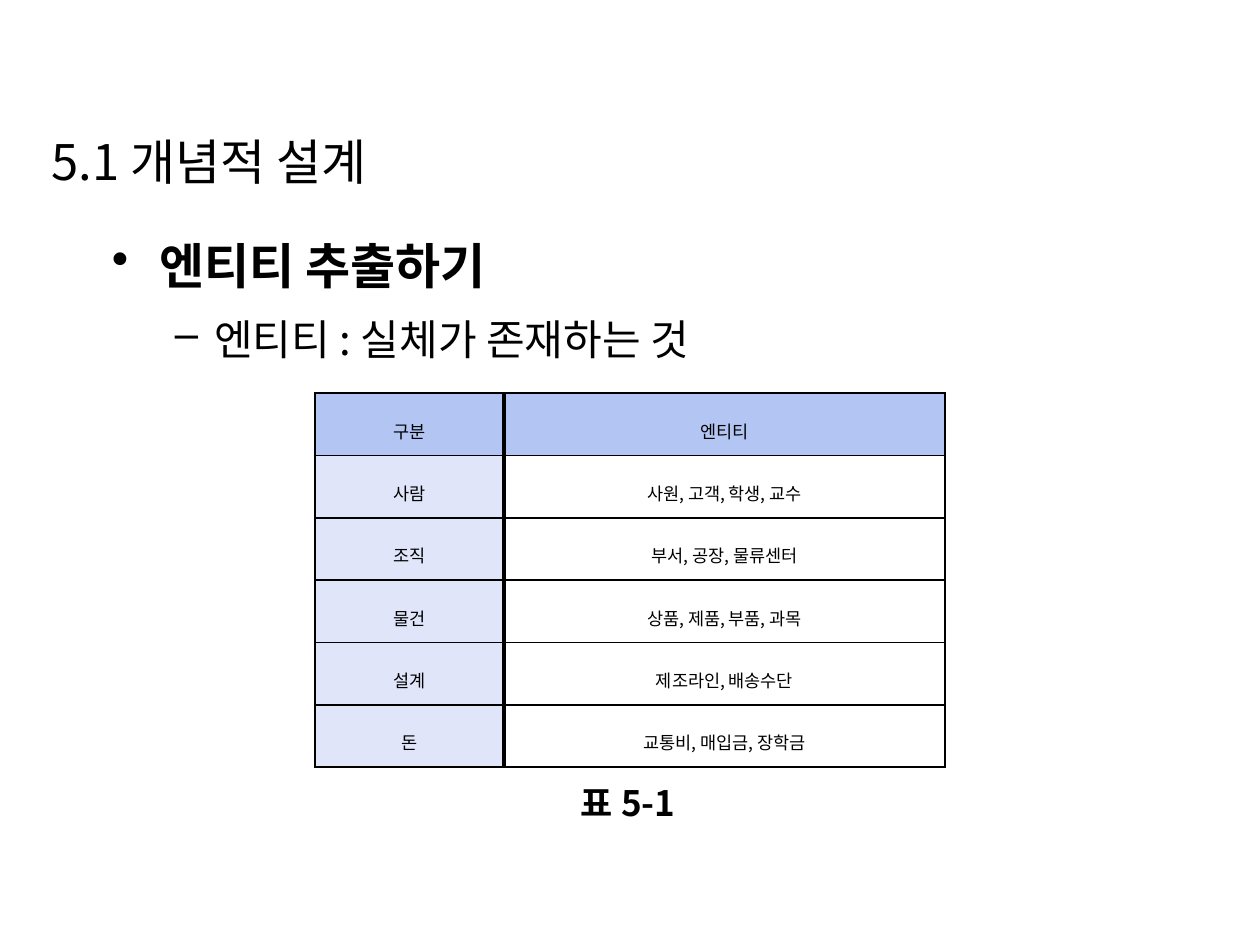
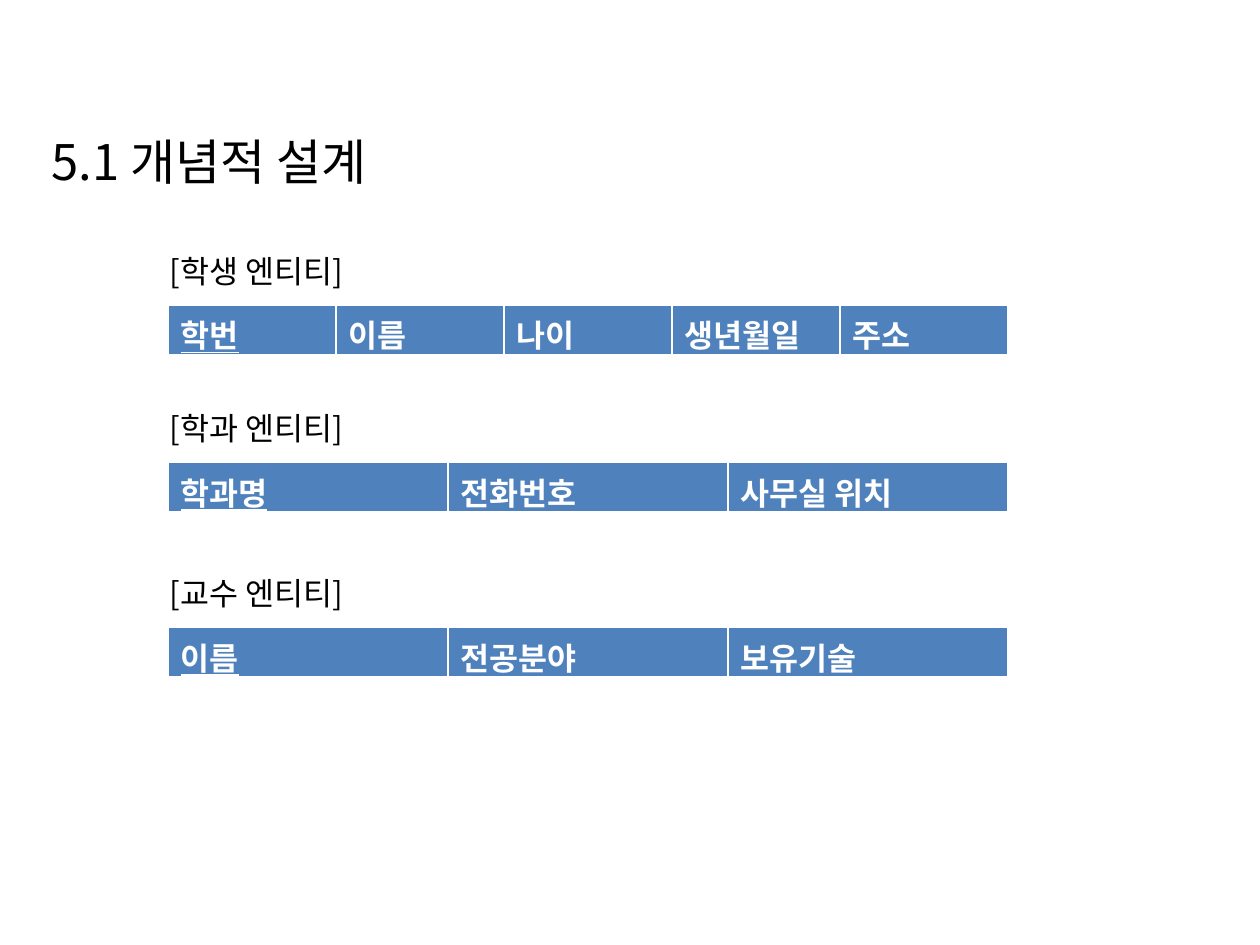
from dataclasses import dataclass

from lxml import etree
from pptx import Presentation
from pptx.dml.color import RGBColor
from pptx.enum.text import MSO_ANCHOR, MSO_AUTO_SIZE, PP_ALIGN
from pptx.oxml.ns import qn
from pptx.util import Emu, Inches, Pt

LEFT, CENTER = PP_ALIGN.LEFT, PP_ALIGN.CENTER
TOP, MIDDLE = MSO_ANCHOR.TOP, MSO_ANCHOR.MIDDLE
GROW, FIXED = MSO_AUTO_SIZE.SHAPE_TO_FIT_TEXT, MSO_AUTO_SIZE.NONE

FONT = "Noto Sans CJK KR"
COLORS = {
    "black": "000000",
    "white": "FFFFFF",
    "header": "B3C5F3",
    "category": "E0E5FA",
    "entity": "4F81BD",
}
TITLE_ONLY_LAYOUT = 5
TITLE = "5.1 개념적 설계"
SLIDE_WIDTH, SLIDE_HEIGHT = Inches(10), Inches(7.5)
CELL = SLIDE_WIDTH // 120  # the grid has 120 columns and 90 rows


@dataclass(frozen=True)
class Area:
    """A rectangle in grid columns and rows."""
    column: float
    row: float
    columns: float
    rows: float

    def lengths(self) -> tuple[Emu, Emu, Emu, Emu]:
        """Return left, top, width and height."""
        return tuple(grid(cells) for cells in
                     (self.column, self.row, self.columns, self.rows))


@dataclass(frozen=True)
class TextStyle:
    """The look of one paragraph."""
    size: float
    color: str = "black"
    bold: bool = False
    underline: bool = False
    align: PP_ALIGN = LEFT
    line_spacing: float = 1.0


@dataclass(frozen=True)
class Bullet:
    """A bulleted line with its mark and hanging indent in grid columns."""
    text: str
    mark: str
    style: TextStyle
    margin: float
    hanging: float
    level: int = 0


@dataclass(frozen=True)
class Entity:
    """An entity with its attributes; the first attribute is the key."""
    name: str
    attributes: tuple[str, ...]
    row: float


TITLE_AREA = Area(3.72, 11.88, 35.5, 6.84)
BULLET_AREA = Area(9.48, 20.76, 107.76, 14.76)
CONCEPT_AREA = Area(30, 37.44, 60, 35.64)
CAPTION_AREA = Area(52.68, 74.4, 14.28, 4.08)

TITLE_STYLE = TextStyle(28)
LABEL_STYLE = TextStyle(18)
CAPTION_STYLE = TextStyle(20, bold=True, align=CENTER)
CONCEPT_STYLE = TextStyle(10, align=CENTER, line_spacing=1.5)

BULLETS = (
    Bullet("엔티티 추출하기", "•", TextStyle(28, bold=True, line_spacing=1.2),
           4.5, 4.5),
    Bullet("엔티티 : 실체가 존재하는 것", "–", TextStyle(24, line_spacing=1.2),
           9.75, 3.75, level=1),
)
CONCEPT_ROWS = (
    ("구분", "엔티티"),
    ("사람", "사원, 고객, 학생, 교수"),
    ("조직", "부서, 공장, 물류센터"),
    ("물건", "상품, 제품, 부품, 과목"),
    ("설계", "제조라인, 배송수단"),
    ("돈", "교통비, 매입금, 장학금"),
)
ENTITIES = (
    Entity("학생", ("학번", "이름", "나이", "생년월일", "주소"), 23.4),
    Entity("학과", ("학과명", "전화번호", "사무실 위치"), 38.4),
    Entity("교수", ("이름", "전공분야", "보유기술"), 54.12),
)


def grid(cells: float) -> Emu:
    """Turn grid cells into a length."""
    return Emu(round(cells * CELL))


def write(paragraph, text: str, style: TextStyle) -> None:
    """Put styled text into a paragraph."""
    paragraph.text = text
    paragraph.alignment = style.align
    paragraph.line_spacing = style.line_spacing
    font = paragraph.font
    font.size, font.bold, font.underline = Pt(style.size), style.bold, style.underline
    font.color.rgb = RGBColor.from_string(COLORS[style.color])
    font.name = FONT
    defaults = paragraph._p.pPr.find(qn("a:defRPr"))
    etree.SubElement(defaults, qn("a:ea"), typeface=FONT)


def set_frame(frame, wrap: bool, anchor: MSO_ANCHOR = TOP,
              auto_size: MSO_AUTO_SIZE = GROW) -> None:
    """Set wrapping, anchoring and growth of a text frame."""
    frame.word_wrap = wrap
    frame.vertical_anchor = anchor
    frame.auto_size = auto_size


def add_titled_slide(presentation):
    """Add a slide with the section title."""
    slide = presentation.slides.add_slide(
        presentation.slide_layouts[TITLE_ONLY_LAYOUT])
    title = slide.shapes.title
    title.left, title.top, title.width, title.height = TITLE_AREA.lengths()
    set_frame(title.text_frame, wrap=False)
    write(title.text_frame.paragraphs[0], TITLE, TITLE_STYLE)
    return slide


def add_text(slide, area: Area, text: str, style: TextStyle, **frame_options) -> None:
    """Add a text box with one paragraph."""
    frame = slide.shapes.add_textbox(*area.lengths()).text_frame
    set_frame(frame, **frame_options)
    write(frame.paragraphs[0], text, style)


def add_bullets(slide, area: Area, bullets: tuple[Bullet, ...]) -> None:
    """Add a text box with bulleted lines."""
    frame = slide.shapes.add_textbox(*area.lengths()).text_frame
    set_frame(frame, wrap=True)
    for index, bullet in enumerate(bullets):
        paragraph = frame.add_paragraph() if index else frame.paragraphs[0]
        paragraph.level = bullet.level
        paragraph.space_before = Pt(0.2 * bullet.style.size)
        write(paragraph, bullet.text, bullet.style)
        properties = paragraph._p.pPr
        properties.set("marL", str(grid(bullet.margin)))
        properties.set("indent", str(-grid(bullet.hanging)))
        mark = etree.Element(qn("a:buChar"), char=bullet.mark)
        properties.find(qn("a:defRPr")).addprevious(mark)


def add_table(slide, area: Area, row_count: int, shares: tuple[float, ...],
              header: bool):
    """Add an unbanded table with columns split by shares of its width."""
    table = slide.shapes.add_table(row_count, len(shares), *area.lengths()).table
    table.first_row, table.horz_banding = header, False
    for column, share in zip(table.columns, shares):
        column.width = grid(area.columns * share)
    for row in table.rows:
        row.height = grid(area.rows / row_count)
    return table


def set_borders(cell, color: str, left: float, right: float,
                top: float, bottom: float) -> None:
    """Draw the four cell borders; call this before filling the cell."""
    properties = cell._tc.get_or_add_tcPr()
    for side, width in zip("LRTB", (left, right, top, bottom)):
        line = etree.SubElement(properties, qn(f"a:ln{side}"), w=str(Pt(width)))
        fill = etree.SubElement(line, qn("a:solidFill"))
        etree.SubElement(fill, qn("a:srgbClr"), val=COLORS[color])


def fill_cell(cell, color: str) -> None:
    """Give a cell a solid fill."""
    cell.fill.solid()
    cell.fill.fore_color.rgb = RGBColor.from_string(COLORS[color])


def add_concept_table(slide) -> None:
    """Add the table of entity categories and examples."""
    table = add_table(slide, CONCEPT_AREA, len(CONCEPT_ROWS), (0.3, 0.7), header=False)
    last_row = len(CONCEPT_ROWS) - 1
    for row, texts in enumerate(CONCEPT_ROWS):
        for column, text in enumerate(texts):
            cell = table.cell(row, column)
            left, right = (2.25, 1.5) if column else (1, 2.25)
            set_borders(cell, "black", left, right, 1, 1.5 if row == last_row else 1)
            if row == 0:
                fill_cell(cell, "header")
            elif column == 0:
                fill_cell(cell, "category")
            else:
                cell.fill.background()
            cell.margin_left = cell.margin_right = Inches(0.01)
            cell.margin_top = cell.margin_bottom = Inches(0.01)
            cell.vertical_anchor = MIDDLE
            write(cell.text_frame.paragraphs[0], text, CONCEPT_STYLE)


def add_entity(slide, entity: Entity) -> None:
    """Add an entity label with its attribute strip below."""
    add_text(slide, Area(15, entity.row, 20.64, 4.8), f"[{entity.name} 엔티티]",
             LABEL_STYLE, wrap=True)
    count = len(entity.attributes)
    table = add_table(slide, Area(16, entity.row + 5.64, 80, 4.87), 1,
                      (1 / count,) * count, header=True)
    for column, attribute in enumerate(entity.attributes):
        cell = table.cell(0, column)
        set_borders(cell, "white", 1, 1, 1, 3)
        fill_cell(cell, "entity")
        style = TextStyle(18, "white", bold=True, underline=column == 0)
        write(cell.text_frame.paragraphs[0], attribute, style)


def build_concept_slide(presentation) -> None:
    """Build the slide on finding entities."""
    slide = add_titled_slide(presentation)
    add_bullets(slide, BULLET_AREA, BULLETS)
    add_concept_table(slide)
    add_text(slide, CAPTION_AREA, "표 5-1", CAPTION_STYLE,
             wrap=False, anchor=MIDDLE, auto_size=FIXED)


def build_entity_slide(presentation) -> None:
    """Build the slide with the attributes of each entity."""
    slide = add_titled_slide(presentation)
    for entity in ENTITIES:
        add_entity(slide, entity)


def main() -> None:
    """Build and save the presentation."""
    presentation = Presentation()
    presentation.slide_width, presentation.slide_height = SLIDE_WIDTH, SLIDE_HEIGHT
    build_concept_slide(presentation)
    build_entity_slide(presentation)
    presentation.save("out.pptx")


main()
